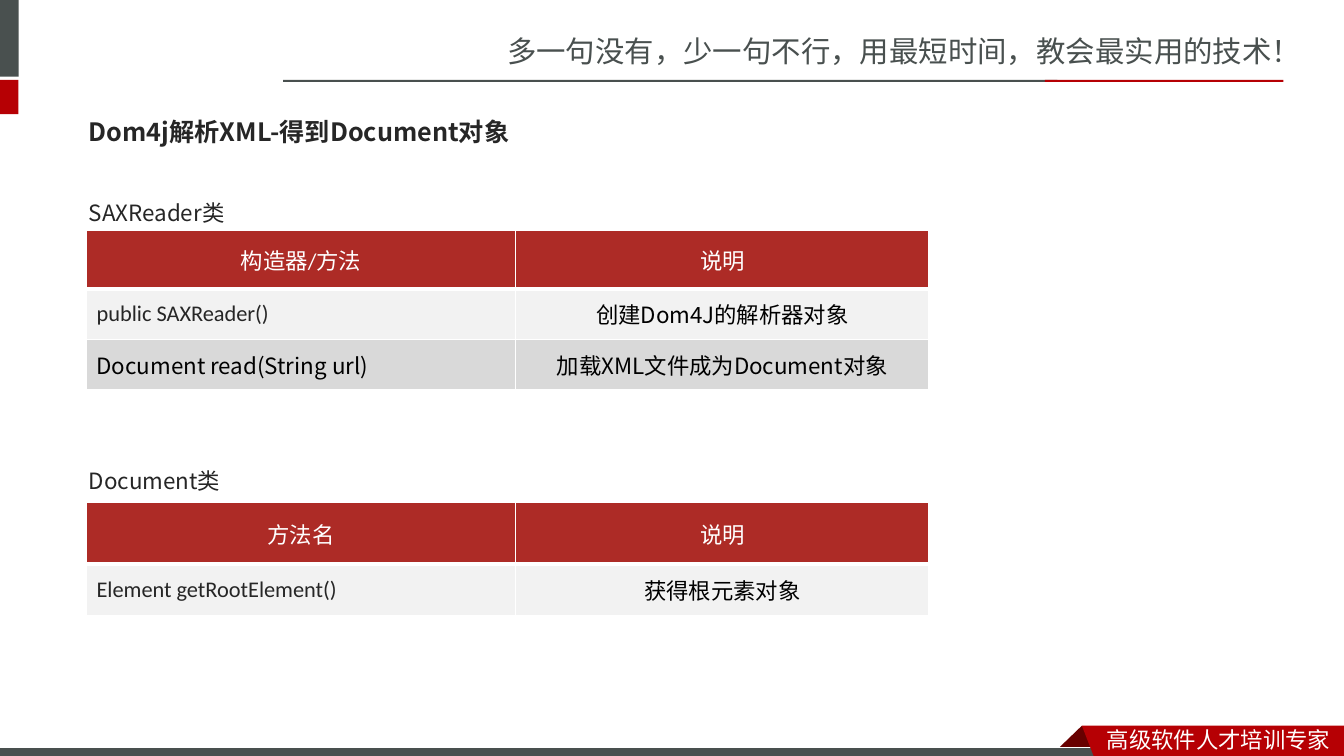
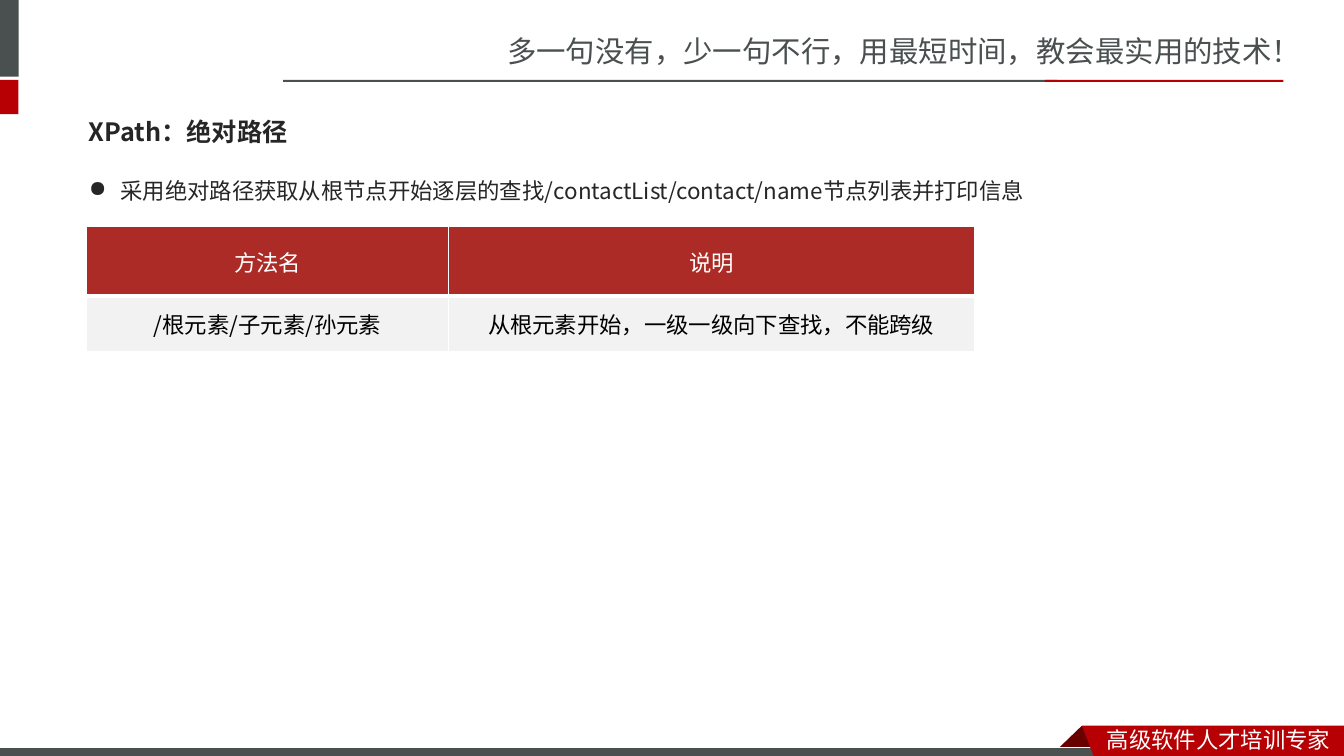
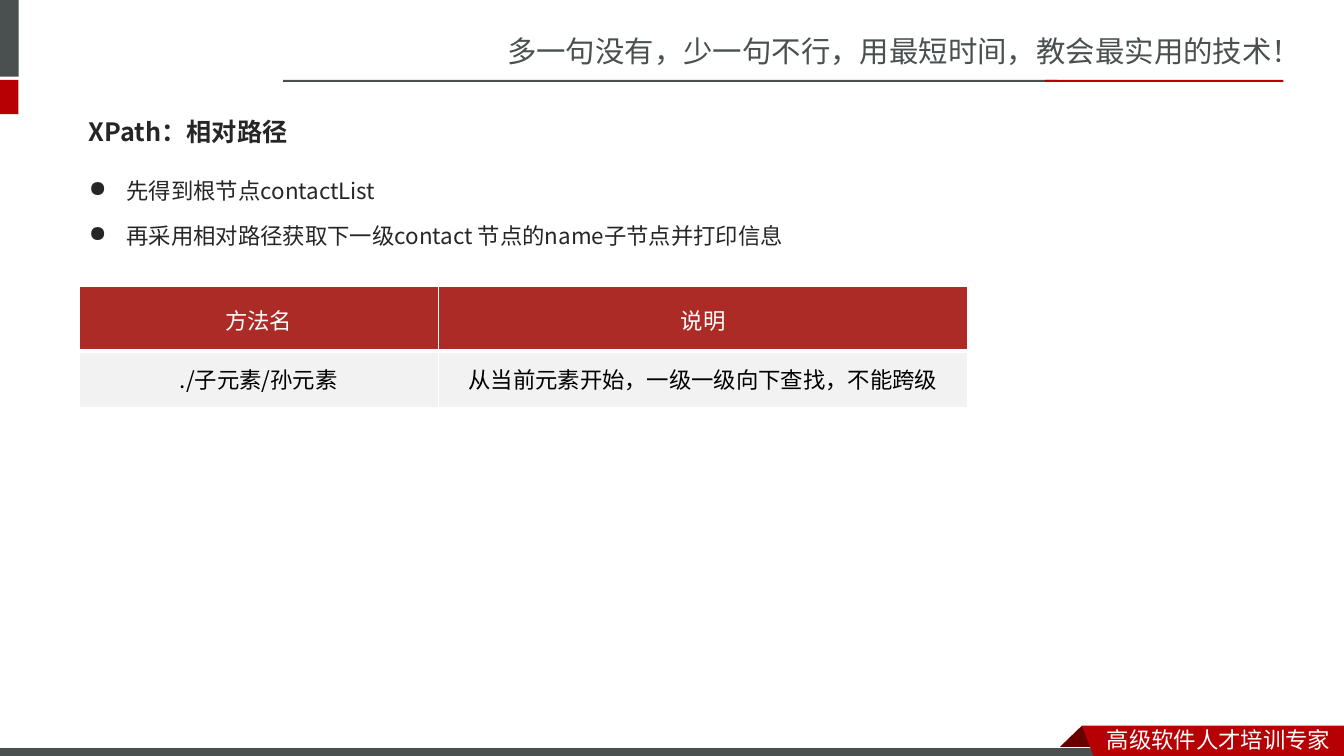
from dataclasses import dataclass, field

from lxml import etree
from pptx import Presentation, util as u
from pptx.dml.color import RGBColor
from pptx.enum import shapes, text
from pptx.oxml.ns import qn

COLUMNS, ROWS = 80, 45
CELL = u.Inches(1) // 6
LEFT, CENTER = text.PP_ALIGN.LEFT, text.PP_ALIGN.CENTER
MIDDLE, TOP = text.MSO_ANCHOR.MIDDLE, text.MSO_ANCHOR.TOP
SANS, SANS_JP, LATIN = "Noto Sans CJK SC", "Noto Sans CJK JP", "Calibri"


@dataclass(frozen=True)
class Theme:
    """Colours and text styles shared by all slides."""

    slate: str = "49504F"
    red: str = "B60004"
    dark_red: str = "680000"
    header: str = "AD2B26"
    white: str = "FFFFFF"
    bands: tuple = ("F2F2F2", "D9D9D9")
    styles: dict = field(default_factory=lambda: {
        "tagline": dict(size=21, name=SANS, color="49504F"),
        "ribbon": dict(size=16, name=SANS, color="FFFFFF"),
        "title": dict(size=18, name=SANS_JP, color="262626", bold=True),
        "body": dict(size=16, name=SANS_JP, color="262626", line=28.8, before=3.2),
        "head": dict(size=16, name=LATIN, color="FFFFFF", align=CENTER, line=24),
        "code": dict(size=16, name=LATIN, color="262626"),
        "method": dict(size=16, name=SANS, color="000000", before=3.2),
        "note": dict(size=16, name=SANS, color="000000", align=CENTER, before=3.2),
    })


def grid(*cells):
    """Turn grid cells into lengths."""
    return [u.Emu(round(cell * CELL)) for cell in cells]


class Deck:
    """Holds the theme and the current slide and draws each kind of element."""

    def __init__(self, theme):
        """Start an empty presentation of the grid's size."""
        self.theme = theme
        self.presentation = Presentation()
        self.presentation.slide_width, self.presentation.slide_height = grid(COLUMNS, ROWS)

    def add_words(self, paragraph, wording, style):
        """Add one run of text in a named style."""
        values = self.theme.styles[style]
        layout = {"alignment": values.get("align", LEFT)}
        for name, key in (("line_spacing", "line"), ("space_before", "before")):
            if key in values:
                layout[name] = u.Pt(values[key])
        for name, value in layout.items():
            setattr(paragraph, name, value)
        run = paragraph.add_run()
        run.text = wording
        format_values = {"size": u.Pt(values["size"]), "name": values["name"],
                         "bold": values.get("bold", False)}
        for name, value in format_values.items():
            setattr(run.font, name, value)
        run.font.color.rgb = RGBColor.from_string(values["color"])
        asian = SANS if values["name"] == LATIN else values["name"]
        etree.SubElement(run._r.get_or_add_rPr(), qn("a:ea"), typeface=asian)

    def paint(self, shape, color, outline=None):
        """Give a shape a flat fill and an optional outline."""
        shape.shadow.inherit = False
        shape.fill.solid()
        shape.fill.fore_color.rgb = RGBColor.from_string(color)
        if outline:
            shape.line.color.rgb = RGBColor.from_string(outline)
            shape.line.width = u.Pt(0.75)
        else:
            shape.line.fill.background()

    def bar(self, box, color, outline=None):
        """Draw a rectangle."""
        shape = self.slide.shapes.add_shape(shapes.MSO_SHAPE.RECTANGLE, *grid(*box))
        self.paint(shape, color, outline)

    def outline(self, points, color):
        """Draw a filled polygon."""
        start, *others = [tuple(grid(*point)) for point in points]
        builder = self.slide.shapes.build_freeform(*start)
        builder.add_line_segments(others, close=True)
        self.paint(builder.convert_to_shape(), color)

    def label(self, box, lines, style, anchor=TOP, indent=None):
        """Place lines of text, with bullets if an indent is given."""
        frame = self.slide.shapes.add_textbox(*grid(*box)).text_frame
        frame.word_wrap, frame.vertical_anchor = True, anchor
        for index, line in enumerate(lines):
            paragraph = frame.add_paragraph() if index else frame.paragraphs[0]
            self.add_words(paragraph, line, style)
            if indent:
                properties = paragraph._p.get_or_add_pPr()
                hang = grid(indent)[0]
                properties.set("marL", str(hang))
                properties.set("indent", str(-hang))
                etree.SubElement(properties, qn("a:buChar"), char="●")

    def borders(self, cell, widths):
        """Draw white cell borders with widths for left, right, top and bottom."""
        properties = cell._tc.get_or_add_tcPr()
        for side, width in zip("LRTB", widths):
            line = etree.SubElement(properties, qn(f"a:ln{side}"), w=str(u.Pt(width)))
            fill = etree.SubElement(line, qn("a:solidFill"))
            etree.SubElement(fill, qn("a:srgbClr"), val=self.theme.white)

    def table(self, corner, widths, heights, headings, *records):
        """Draw a table with a red heading row and grey bands."""
        size = sum(widths), sum(heights)
        frame = self.slide.shapes.add_table(len(heights), len(widths), *grid(*corner, *size))
        table = frame.table
        table.horz_banding = False
        for column, width in zip(table.columns, grid(*widths)):
            column.width = width
        for row, height in zip(table.rows, grid(*heights)):
            row.height = height
        content = [[(heading, "head") for heading in headings], *records]
        for index, record in enumerate(content):
            color = self.theme.bands[(index - 1) % 2] if index else self.theme.header
            for column, (wording, style) in enumerate(record):
                cell = table.cell(index, column)
                cell.vertical_anchor = MIDDLE
                self.borders(cell, (1, 1, 3 if index == 1 else 1, 1 if index else 3))
                cell.fill.solid()
                cell.fill.fore_color.rgb = RGBColor.from_string(color)
                self.add_words(cell.text_frame.paragraphs[0], wording, style)

    def page(self, title):
        """Start a slide with the shared bands, tagline, ribbon and its title."""
        theme = self.theme
        self.slide = self.presentation.slides.add_slide(self.presentation.slide_layouts[6])
        self.label((29.6, 1.7, 50.4, 2.8), ["多一句没有，少一句不行，用最短时间，教会最实用的技术！"], "tagline")
        self.bar((0, 0, 1.12, 4.56), theme.slate)
        self.bar((0, 4.75, 1.1, 2.05), theme.red)
        self.bar((16.85, 4.75, 46.1, 0.12), theme.slate)
        self.bar((62.2, 4.75, 14.2, 0.12), theme.red)
        self.outline([(64.4, 43.2), (65.7, 44.5), (65.65, 44.6), (63.1, 44.6), (63.05, 44.5)],
                     theme.dark_red)
        self.bar((-0.05, 44.47, 66, 0.7), theme.slate, theme.white)
        self.outline([(64.4, 43.2), (80, 43.2), (80, 45), (65.1, 45)], theme.red)
        self.label((65.3, 42.9, 14.7, 2.2), ["高级软件人才培训专家"], "ribbon")
        self.label((4.7, 6.15, 70.2, 3.4), [title], "title", MIDDLE)


def main():
    """Build the three slides."""
    deck = Deck(Theme())

    deck.page("Dom4j解析XML-得到Document对象")
    for top, name in ((10.75, "SAXReader类"), (26.7, "Document类")):
        deck.label((4.7, top, 70.2, 3), [name], "body")
    widths = 25.55, 24.6
    deck.table((5.15, 13.7), widths, (3.5, 3, 3), ("构造器/方法", "说明"),
               (("public SAXReader()", "code"), ("创建Dom4J的解析器对象", "note")),
               (("Document read(String url)", "method"), ("加载XML文件成为Document对象", "note")))
    deck.table((5.15, 29.9), widths, (3.65, 3.1), ("方法名", "说明"),
               (("Element getRootElement()", "code"), ("获得根元素对象", "note")))

    deck.page("XPath：绝对路径")
    deck.label((4.7, 9.45, 70.2, 3),
               ["采用绝对路径获取从根节点开始逐层的查找/contactList/contact/name节点列表并打印信息"],
               "body", indent=1.88)
    deck.table((5.15, 13.45), (21.55, 31.3), (4.15, 3.35), ("方法名", "说明"),
               (("/根元素/子元素/孙元素", "note"), ("从根元素开始，一级一级向下查找，不能跨级", "note")))

    deck.page("XPath：相对路径")
    deck.label((4.7, 9.45, 70.2, 6),
               ["先得到根节点contactList", "再采用相对路径获取下一级contact 节点的name子节点并打印信息"],
               "body", indent=2.25)
    deck.table((4.7, 17.05), (21.4, 31.5), (3.85, 3.35), ("方法名", "说明"),
               (("./子元素/孙元素", "note"), ("从当前元素开始，一级一级向下查找，不能跨级", "note")))

    deck.presentation.save("out.pptx")


if __name__ == "__main__":
    main()
